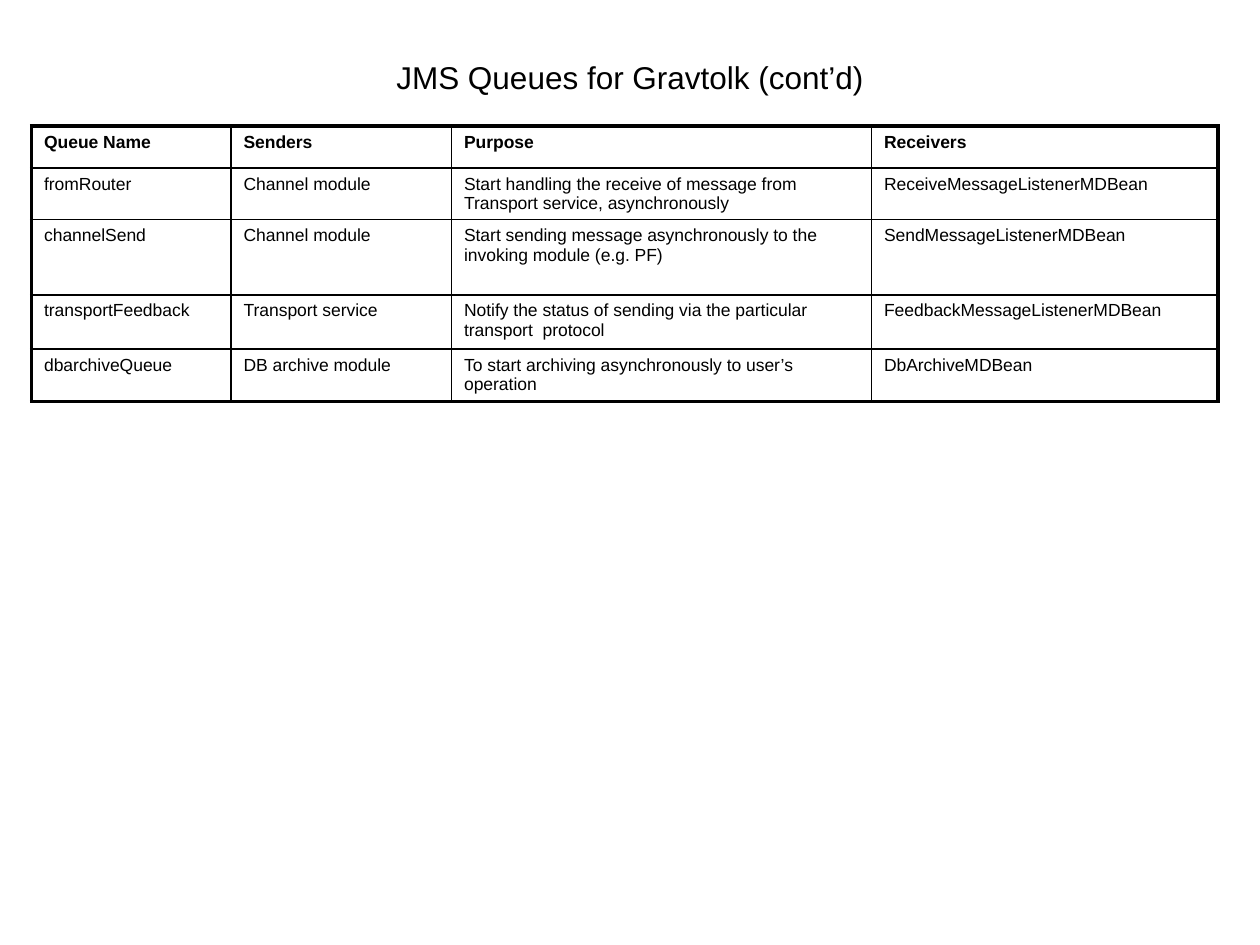
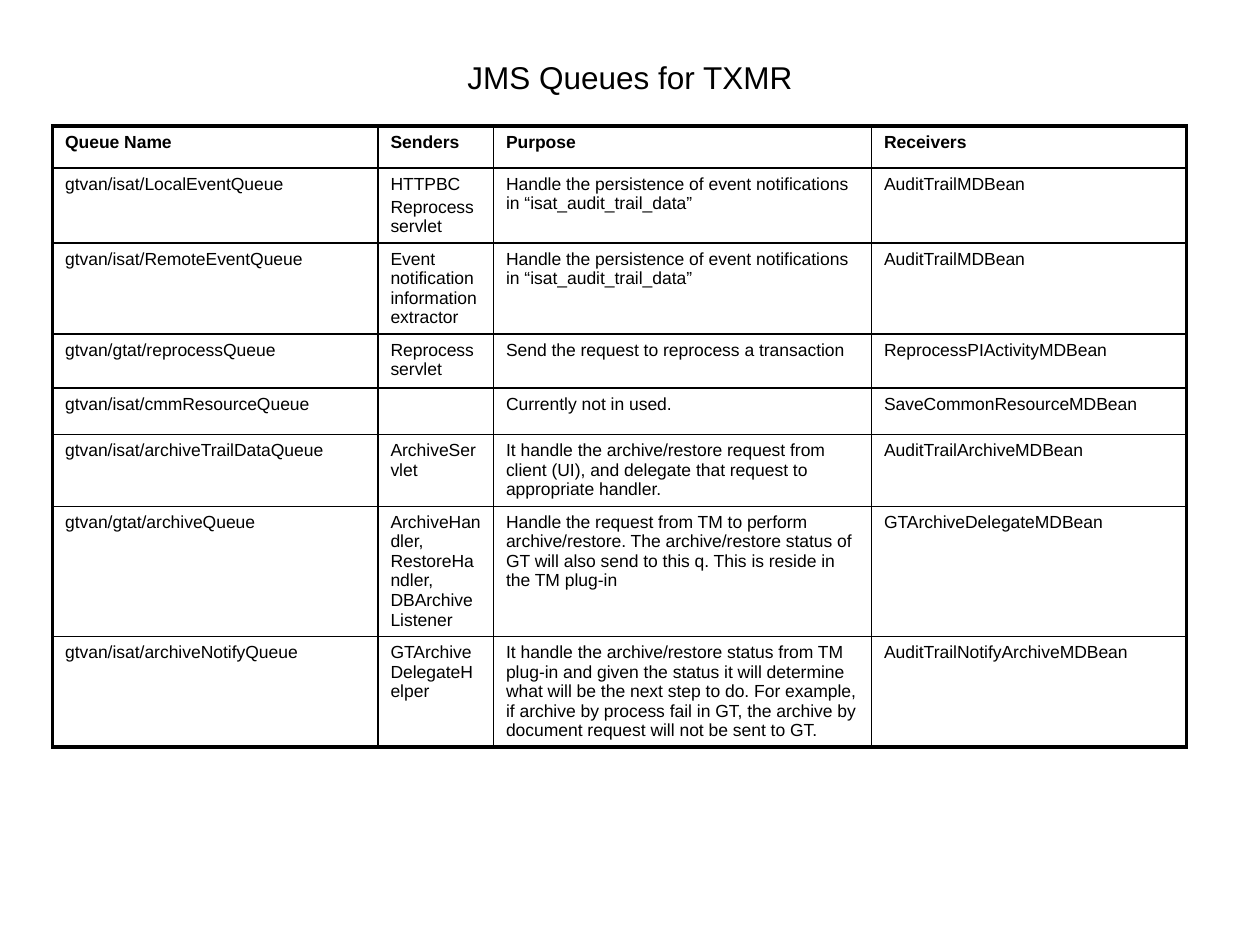
from pptx import Presentation
from pptx.dml.color import RGBColor
from pptx.enum import text
from pptx.oxml import ns
from pptx.util import Pt
from lxml import etree

COLORS = {"ink": "000000", "paper": "FFFFFF"}
FONT = "Arial"
TITLE_BOX = (36, 21.5, 648, 45)
HEADINGS = ("Queue Name", "Senders", "Purpose", "Receivers")
THIN, THICK = 1, 2.25

GRAVTOLK_QUEUES = [
    ("fromRouter", "Channel module",
     "Start handling the receive of message from Transport service, asynchronously",
     "ReceiveMessageListenerMDBean"),
    ("channelSend", "Channel module",
     "Start sending message asynchronously to the invoking module (e.g. PF)",
     "SendMessageListenerMDBean"),
    ("transportFeedback", "Transport service",
     "Notify the status of sending via the particular transport  protocol",
     "FeedbackMessageListenerMDBean"),
    ("dbarchiveQueue", "DB archive module",
     "To start archiving asynchronously to user’s operation",
     "DbArchiveMDBean"),
]

TXMR_QUEUES = [
    ("gtvan/isat/LocalEventQueue", "HTTPBC\nReprocess servlet",
     "Handle the persistence of event notifications in “isat_audit_trail_data”",
     "AuditTrailMDBean"),
    ("gtvan/isat/RemoteEventQueue", "Event notification information extractor",
     "Handle the persistence of event notifications in “isat_audit_trail_data”",
     "AuditTrailMDBean"),
    ("gtvan/gtat/reprocessQueue", "Reprocess servlet",
     "Send the request to reprocess a transaction",
     "ReprocessPIActivityMDBean"),
    ("gtvan/isat/cmmResourceQueue", "",
     "Currently not in used.",
     "SaveCommonResourceMDBean"),
    ("gtvan/isat/archiveTrailDataQueue", "ArchiveServlet",
     "It handle the archive/restore request from client (UI), and delegate that "
     "request to appropriate handler.",
     "AuditTrailArchiveMDBean"),
    ("gtvan/gtat/archiveQueue", "ArchiveHandler, RestoreHandler, DBArchiveListener",
     "Handle the request from TM to perform archive/restore. The archive/restore "
     "status of GT will also send to this q. This is reside in the TM plug-in",
     "GTArchiveDelegateMDBean"),
    ("gtvan/isat/archiveNotifyQueue", "GTArchiveDelegateHelper",
     "It handle the archive/restore status from TM plug-in and given the status it "
     "will determine what will be the next step to do. For example, if archive by "
     "process fail in GT, the archive by document request will not be sent to GT.",
     "AuditTrailNotifyArchiveMDBean"),
]


def format_runs(paragraph, size, bold=False):
    """Give every run of a paragraph the shared font and ink colour."""
    for run in paragraph.runs:
        run.font.name = FONT
        run.font.size = Pt(size)
        run.font.bold = bold
        run.font.color.rgb = RGBColor.from_string(COLORS["ink"])


def add_title(slide, title, box):
    """Place the slide title, centred in its box."""
    shape = slide.shapes.title
    shape.left, shape.top, shape.width, shape.height = map(Pt, box)
    frame = shape.text_frame
    frame.text = title
    frame.auto_size = text.MSO_AUTO_SIZE.NONE
    frame.vertical_anchor = text.MSO_ANCHOR.MIDDLE
    frame.paragraphs[0].alignment = text.PP_ALIGN.CENTER
    format_runs(frame.paragraphs[0], 18)


def set_borders(cell, widths):
    """Draw the cell borders from a mapping of side letter to width."""
    properties = cell._tc.get_or_add_tcPr()
    for side, width in widths.items():
        line = etree.SubElement(properties, ns.qn(f"a:ln{side}"), w=str(int(Pt(width))))
        fill = etree.SubElement(line, ns.qn("a:solidFill"))
        etree.SubElement(fill, ns.qn("a:srgbClr"), val=COLORS["ink"])


def fill_cell(cell, content, bold):
    """Write the cell text and leave the cell without a fill."""
    cell.fill.background()
    cell.text_frame.text = content
    for paragraph in cell.text_frame.paragraphs:
        paragraph.space_before = Pt(2)
        format_runs(paragraph, 10, bold)
        if not content:
            paragraph._p.get_or_add_endParaRPr().set("sz", "1000")


def add_queue_table(slide, origin, widths, heights, queues):
    """Add the queue table with a thick frame and thin inner lines."""
    rows = [HEADINGS, *queues]
    left, top = origin
    table = slide.shapes.add_table(
        len(rows), len(widths), Pt(left), Pt(top), Pt(sum(widths)), Pt(sum(heights))).table
    table.first_row = table.horz_banding = False
    for column, width in zip(table.columns, widths):
        column.width = Pt(width)
    for row, height in zip(table.rows, heights):
        row.height = Pt(height)
    last_row, last_column = len(rows) - 1, len(widths) - 1
    for i, row in enumerate(rows):
        for j, content in enumerate(row):
            cell = table.cell(i, j)
            on_frame = {"L": j == 0, "R": j == last_column, "T": i == 0, "B": i == last_row}
            set_borders(cell, {side: THICK if outer else THIN
                               for side, outer in on_frame.items()})
            fill_cell(cell, content, bold=i == 0)


def add_queue_slide(presentation, title, origin, widths, heights, queues):
    """Add one slide with a title and a queue table."""
    slide = presentation.slides.add_slide(presentation.slide_layouts[5])
    background = slide.background.fill
    background.solid()
    background.fore_color.rgb = RGBColor.from_string(COLORS["paper"])
    add_title(slide, title, TITLE_BOX)
    add_queue_table(slide, origin, widths, heights, queues)


def main():
    """Build and save the presentation."""
    presentation = Presentation()
    presentation.slide_width, presentation.slide_height = Pt(720), Pt(540)
    add_queue_slide(presentation, "JMS Queues for Gravtolk (cont’d)", (18, 72),
                    (114, 126, 240, 198), (24, 29.5, 43, 31, 30), GRAVTOLK_QUEUES)
    add_queue_slide(presentation, "JMS Queues for TXMR", (30, 72),
                    (186, 66, 216, 180), (24, 43, 51.5, 31, 26.5, 41, 74.5, 63), TXMR_QUEUES)
    presentation.save("out.pptx")


if __name__ == "__main__":
    main()
